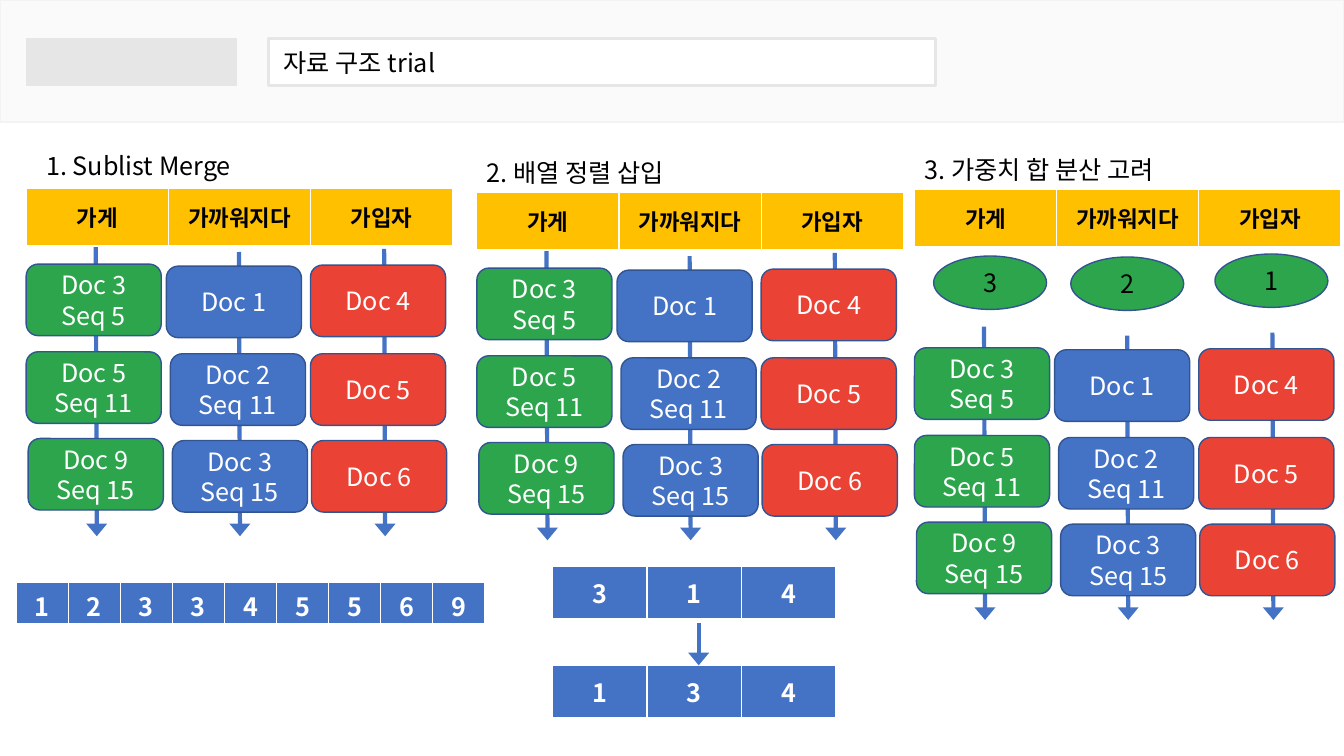
from dataclasses import dataclass

from lxml import etree
from pptx import Presentation
from pptx.dml.color import RGBColor
from pptx.enum.shapes import MSO_CONNECTOR, MSO_SHAPE
from pptx.enum.text import MSO_ANCHOR, MSO_AUTO_SIZE, PP_ALIGN
from pptx.oxml.ns import qn
from pptx.util import Inches, Pt

RECTANGLE, ROUNDED, OVAL = MSO_SHAPE.RECTANGLE, MSO_SHAPE.ROUNDED_RECTANGLE, MSO_SHAPE.OVAL
STRAIGHT = MSO_CONNECTOR.STRAIGHT
TOP, MIDDLE = MSO_ANCHOR.TOP, MSO_ANCHOR.MIDDLE
LEFT, CENTER = PP_ALIGN.LEFT, PP_ALIGN.CENTER
GROW = MSO_AUTO_SIZE.SHAPE_TO_FIT_TEXT


@dataclass(frozen=True)
class Theme:
    font: str = "Noto Sans CJK KR"
    body_size: int = 18
    header_size: int = 16
    white: str = "FFFFFF"
    black: str = "000000"
    green: str = "2DA54D"
    blue: str = "4472C4"
    red: str = "EA4335"
    gold: str = "FFC000"
    outline: str = "325491"
    bar: str = "FAFAFA"
    bar_line: str = "F3F3F3"
    gray: str = "E7E6E6"


theme = Theme()


def write_lines(text_frame, lines, size, color, align=CENTER, bold=False, spacing=None):
    for index, line in enumerate(lines):
        paragraph = text_frame.paragraphs[0] if index == 0 else text_frame.add_paragraph()
        paragraph.alignment = align
        paragraph.line_spacing = spacing
        run = paragraph.add_run()
        run.text = line
        for name, value in {"name": theme.font, "size": Pt(size), "bold": bold}.items():
            setattr(run.font, name, value)
        run.font.color.rgb = RGBColor.from_string(color)
        east_asian = etree.SubElement(run._r.get_or_add_rPr(), qn("a:ea"))
        east_asian.set("typeface", theme.font)


def add_arrow(start_x, start_y, end_x, end_y):
    arrow = slide.shapes.add_connector(
        STRAIGHT, Inches(start_x), Inches(start_y), Inches(end_x), Inches(end_y))
    arrow.line.color.rgb = RGBColor.from_string(theme.blue)
    arrow.line.width = Pt(3)
    properties = arrow._element.spPr
    head = etree.SubElement(properties.find(qn("a:ln")), qn("a:tailEnd"))
    head.set("type", "triangle")
    head.set("w", "lg")
    etree.SubElement(properties, qn("a:effectLst"))


presentation = Presentation()
presentation.slide_width, presentation.slide_height = Inches(13.33), Inches(7.5)
slide = presentation.slides.add_slide(presentation.slide_layouts[6])

# Panels: left edge, downward shift, extra shift of the lists, title and its box
panels = [
    (0.26, 0, 0, "1. Sublist Merge", (0.36, 1.29, 2.07, 0.5)),
    (4.73, 0.04, 0.04, "2. 배열 정렬 삽입", (4.73, 1.36, 2.18, 0.5)),
    (9.07, 0.01, 0.83, "3. 가중치 합 분산 고려", (9.07, 1.33, 2.77, 0.5)),
]
# Posting lists: colour, arrow offset and top, then offset, top and text of each card
posting_lists = [
    (theme.green, 0.69, 2.41, [
        (0, 2.62, "Doc 3\nSeq 5"), (0, 3.49, "Doc 5\nSeq 11"), (0.02, 4.35, "Doc 9\nSeq 15")]),
    (theme.blue, 2.11, 2.5, [
        (1.39, 2.64, "Doc 1"), (1.43, 3.51, "Doc 2\nSeq 11"), (1.45, 4.37, "Doc 3\nSeq 15")]),
    (theme.red, 3.55, 2.47, [
        (2.82, 2.63, "Doc 4"), (2.82, 3.51, "Doc 5"), (2.83, 4.37, "Doc 6")]),
]
keywords = ["가게", "가까워지다", "가입자"]

# Boxes: kind, bounds, fill, line colour, line width, text, text colour, alignment
boxes = [
    (RECTANGLE, (0, 0, 13.33, 1.21), theme.bar, theme.bar_line, 1, "", theme.black, LEFT),
    (RECTANGLE, (0.26, 0.38, 2.08, 0.47), theme.gray, theme.gray, 1, "", theme.black, LEFT),
    (RECTANGLE, (2.66, 0.38, 6.62, 0.47), theme.white, theme.gray, 2.25,
     " 자료 구조 trial", theme.black, LEFT),
]
# Tables: bounds, values, fill, text colour, type size, anchor
tables = [
    ((0.16, 5.78, 4.65, 0.41), "123345569", theme.blue, theme.white, theme.body_size, TOP),
    ((5.48, 5.62, 2.81, 0.52), "314", theme.blue, theme.white, theme.body_size, MIDDLE),
    ((5.48, 6.6, 2.81, 0.52), "134", theme.blue, theme.white, theme.body_size, MIDDLE),
]

for left, shift, list_shift, title, title_bounds in panels:
    text_frame = slide.shapes.add_textbox(*map(Inches, title_bounds)).text_frame
    text_frame.word_wrap = False
    text_frame.auto_size = GROW
    write_lines(text_frame, [title], theme.body_size, theme.black, LEFT, spacing=1.5)
    tables.append(((left, 1.87 + shift, 4.23, 0.57), keywords, theme.gold, theme.black,
                   theme.header_size, MIDDLE))
    for color, arrow_offset, arrow_top, cards in posting_lists:
        arrow_x = left + arrow_offset
        add_arrow(arrow_x, arrow_top + list_shift, arrow_x + 0.01, 5.32 + list_shift)
        for offset, top, text in cards:
            boxes.append((ROUNDED, (left + offset, top + list_shift, 1.34, 0.71), color,
                          theme.outline, 1, text, theme.white, CENTER))

for left, top, weight in [(9.26, 2.54, "3"), (10.62, 2.55, "2"), (12.05, 2.52, "1")]:
    boxes.append((OVAL, (left, top, 1.12, 0.53), theme.green, theme.outline, 1, weight,
                  theme.black, CENTER))

for kind, bounds, fill, line_color, line_width, text, text_color, align in boxes:
    shape = slide.shapes.add_shape(kind, *map(Inches, bounds))
    shape.shadow.inherit = False
    shape.fill.solid()
    shape.fill.fore_color.rgb = RGBColor.from_string(fill)
    shape.line.color.rgb = RGBColor.from_string(line_color)
    shape.line.width = Pt(line_width)
    shape.text_frame.vertical_anchor = MIDDLE
    if text:
        write_lines(shape.text_frame, text.split("\n"), theme.body_size, text_color, align)

for bounds, values, fill, text_color, size, anchor in tables:
    table = slide.shapes.add_table(1, len(values), *map(Inches, bounds)).table
    for cell, value in zip(table.rows[0].cells, values):
        cell.fill.solid()
        cell.fill.fore_color.rgb = RGBColor.from_string(fill)
        cell.vertical_anchor = anchor
        cell.margin_bottom = Inches(0 if anchor == TOP else 0.05)
        write_lines(cell.text_frame, [value], size, text_color, bold=True)

add_arrow(6.93, 6.18, 6.93, 6.6)

presentation.save("out.pptx")
